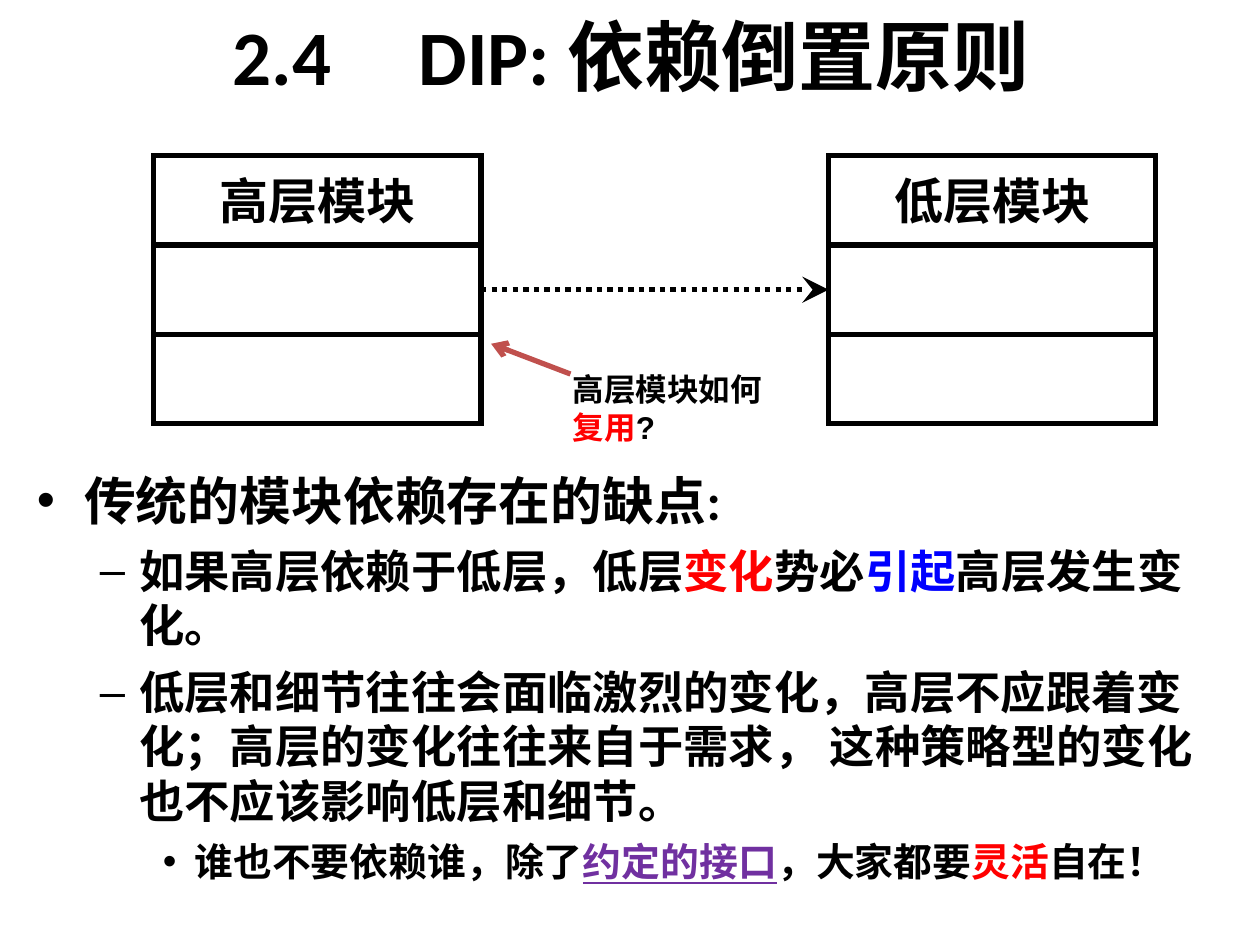
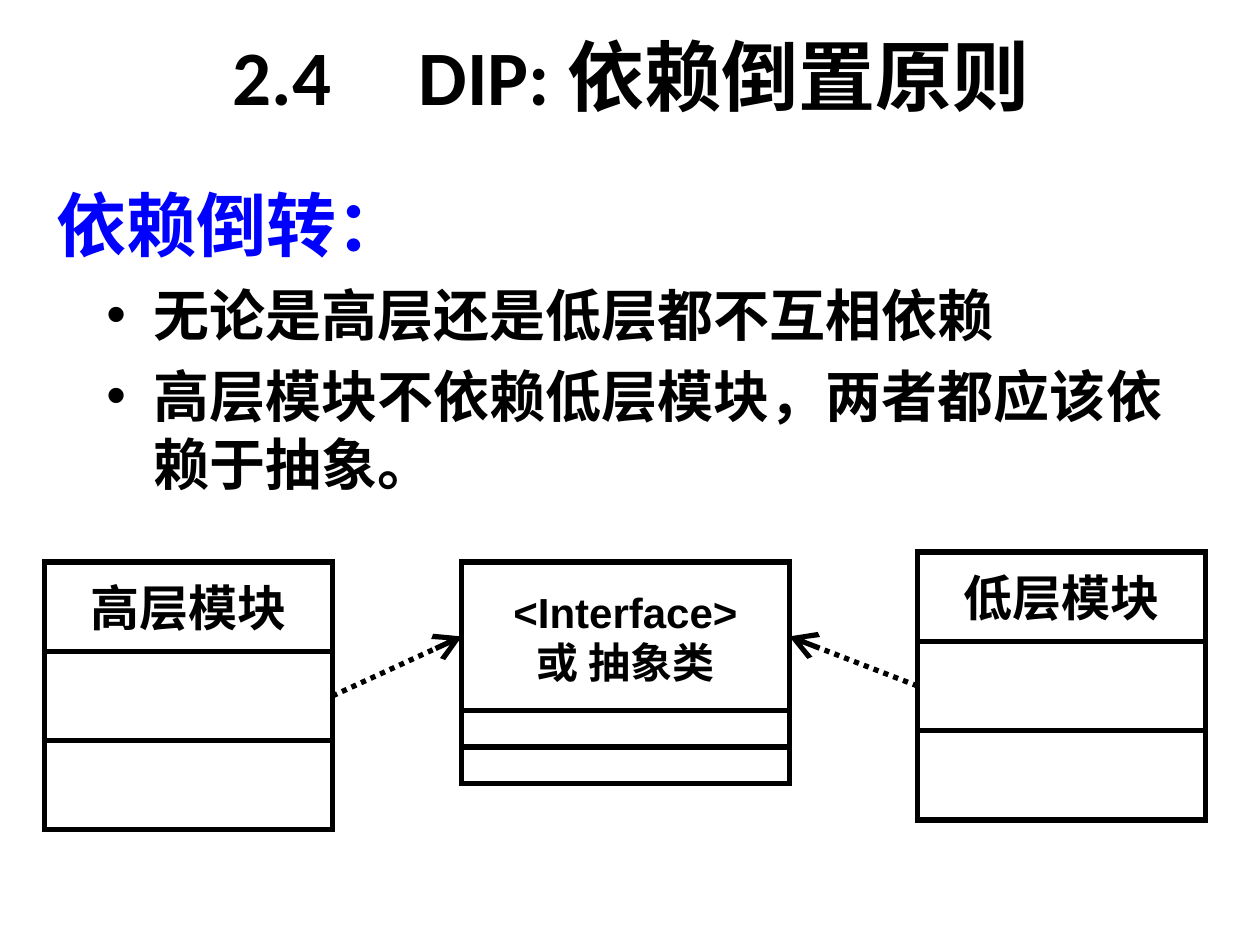
from lxml import etree
from pptx import Presentation
from pptx.dml.color import RGBColor
from pptx.enum import dml, shapes, text
from pptx.oxml.ns import qn
from pptx.util import Cm, Pt

BLACK = RGBColor(0x00, 0x00, 0x00)
RED = RGBColor(0xFF, 0x00, 0x00)
BLUE = RGBColor(0x00, 0x00, 0xFF)
PURPLE = RGBColor(0x70, 0x30, 0xA0)
BRICK = RGBColor(0xC0, 0x50, 0x4D)

HEADING_FONT = "Calibri"
LABEL_FONT = "Arial"
TITLE = ["2.4", " ", "DIP: 依赖倒置原则"]
TITLE_GAP = 4000  # extra width of the space after the number, 1/100 pt
LINE_WIDTH = Pt(3)
ROW_HEIGHT = 1.8
RIGHT_SIDE, LEFT_SIDE = 3, 1


def place(shape, left, top, width, height):
    shape.left, shape.top = Cm(left), Cm(top)
    shape.width, shape.height = Cm(width), Cm(height)


def write(paragraph, pieces, size, font=LABEL_FONT, color=BLACK):
    """Fill a paragraph with bold text; a piece is a string or (string, colour)."""
    paragraph.font.name = font
    paragraph.font.size = Pt(size)
    paragraph.font.bold = True
    paragraph.font.color.rgb = color
    for piece in pieces:
        words, accent = (piece, None) if isinstance(piece, str) else piece
        run = paragraph.add_run()
        run.text = words
        if accent is not None:
            run.font.color.rgb = accent
        if accent == PURPLE:
            run.font.underline = True


def add_titled_slide(deck, top, height):
    slide = deck.slides.add_slide(deck.slide_layouts[1])
    heading = slide.shapes.title
    place(heading, 1.3, top, 22.86, height)
    paragraph = heading.text_frame.paragraphs[0]
    write(paragraph, TITLE, 44, HEADING_FONT)
    gap = paragraph.runs[1]
    gap._r.get_or_add_rPr().set("spc", str(TITLE_GAP))
    return slide


def fill_list(slide, bounds, items):
    """Write (level, size, space before, pieces) items into the body placeholder."""
    body = slide.placeholders[1]
    place(body, *bounds)
    frame = body.text_frame
    frame.auto_size = text.MSO_AUTO_SIZE.NONE
    for index, (level, size, space, pieces) in enumerate(items):
        paragraph = frame.add_paragraph() if index else frame.paragraphs[0]
        paragraph.level = level
        paragraph.space_before = Pt(space if index else 0)
        paragraph._p.get_or_add_pPr().set("hangingPunct", "0")
        write(paragraph, pieces, size, HEADING_FONT)


def add_label(slide, bounds, pieces, size, color=BLACK):
    label = slide.shapes.add_textbox(*map(Cm, bounds))
    label.text_frame.word_wrap = True
    write(label.text_frame.paragraphs[0], pieces, size, color=color)


def add_module(slide, left, top, width, name_lines, size=28,
               header=ROW_HEIGHT, row=ROW_HEIGHT):
    """Draw a three-compartment class box and return its compartments."""
    group = slide.shapes.add_group_shape()
    compartments = []
    for height in (header, row, row):
        box = group.shapes.add_shape(shapes.MSO_SHAPE.RECTANGLE, Cm(left),
                                     Cm(top), Cm(width), Cm(height))
        box.shadow.inherit = False
        box.fill.background()
        box.line.color.rgb = BLACK
        box.line.width = LINE_WIDTH
        etree.SubElement(box.line._get_or_add_ln(), qn("a:miter"), lim="800000")
        compartments.append(box)
        top += height
    frame = compartments[0].text_frame
    frame.word_wrap = False
    frame.vertical_anchor = text.MSO_ANCHOR.MIDDLE
    for index, line in enumerate(name_lines):
        paragraph = frame.add_paragraph() if index else frame.paragraphs[0]
        paragraph.alignment = text.PP_ALIGN.CENTER
        write(paragraph, [line], size)
    return compartments


def add_arrow(slide, start=(0, 0), end=(0, 0), color=BLACK, head="arrow",
              head_size="med"):
    arrow = slide.shapes.add_connector(shapes.MSO_CONNECTOR.STRAIGHT,
                                       *map(Cm, start + end))
    arrow.line.color.rgb = color
    arrow.line.width = LINE_WIDTH
    etree.SubElement(arrow.line._get_or_add_ln(), qn("a:tailEnd"),
                     type=head, w=head_size, len=head_size)
    etree.SubElement(arrow._element.spPr, qn("a:effectLst"))
    return arrow


def add_dependency(slide, source, source_side, target, target_side, head="arrow"):
    arrow = add_arrow(slide, head=head, head_size="lg")
    arrow.line.dash_style = dml.MSO_LINE.ROUND_DOT
    arrow.begin_connect(source, source_side)
    arrow.end_connect(target, target_side)


def build_drawbacks(deck):
    slide = add_titled_slide(deck, -0.08, 2.36)
    fill_list(slide, (0.49, 9.32, 24.61, 9.09), [
        (0, 29.6, 8, ["传统的模块依赖存在的缺点:"]),
        (1, 25.9, 7, ["如果高层依赖于低层，低层", ("变化", RED), "势必",
                      ("引起", BLUE), "高层发生变化。"]),
        (1, 25.9, 7, ["低层和细节往往会面临激烈的变化，高层不应跟着变化；"
                      "高层的变化往往来自于需求， 这种策略型的变化也不应该影响低层和细节。"]),
        (2, 22.2, 6, ["谁也不要依赖谁，除了", ("约定的接口", PURPLE), "，大家都要",
                      ("灵活", RED), "自在！"]),
    ])
    high = add_module(slide, 3.1, 3.14, 6.6, ["高层模块"])
    low = add_module(slide, 16.7, 3.14, 6.6, ["低层模块"])
    add_dependency(slide, high[1], RIGHT_SIDE, low[1], LEFT_SIDE, head="stealth")
    add_label(slide, (11.3, 7.34, 4.4, 1.78),
              ["高层模块如何", ("复用", RED), "?"], 18)
    add_arrow(slide, (11.5, 7.54), (9.9, 6.93), BRICK)


def build_inversion(deck):
    slide = add_titled_slide(deck, 0.13, 2.77)
    add_label(slide, (0.9, 3.53, 12.4, 1.96), ["依赖倒转："], 40, BLUE)
    fill_list(slide, (1.89, 5.53, 22.4, 4.93), [
        (0, 32, 8, ["无论是高层还是低层都不互相依赖"]),
        (0, 32, 8, ["高层模块不依赖低层模块，两者都应该依赖于抽象。"]),
    ])
    high = add_module(slide, 0.9, 11.33, 5.8, ["高层模块"])
    low = add_module(slide, 18.5, 11.13, 5.8, ["低层模块"])
    abstraction = add_module(slide, 9.31, 11.33, 6.6, ["<Interface>", "或 抽象类"],
                             size=24, header=3, row=0.73)
    add_dependency(slide, high[1], RIGHT_SIDE, abstraction[0], LEFT_SIDE)
    add_dependency(slide, low[1], LEFT_SIDE, abstraction[0], RIGHT_SIDE)


def main():
    deck = Presentation()
    deck.slide_width, deck.slide_height = Cm(25.4), Cm(19.05)
    build_drawbacks(deck)
    build_inversion(deck)
    deck.save("out.pptx")


if __name__ == "__main__":
    main()
